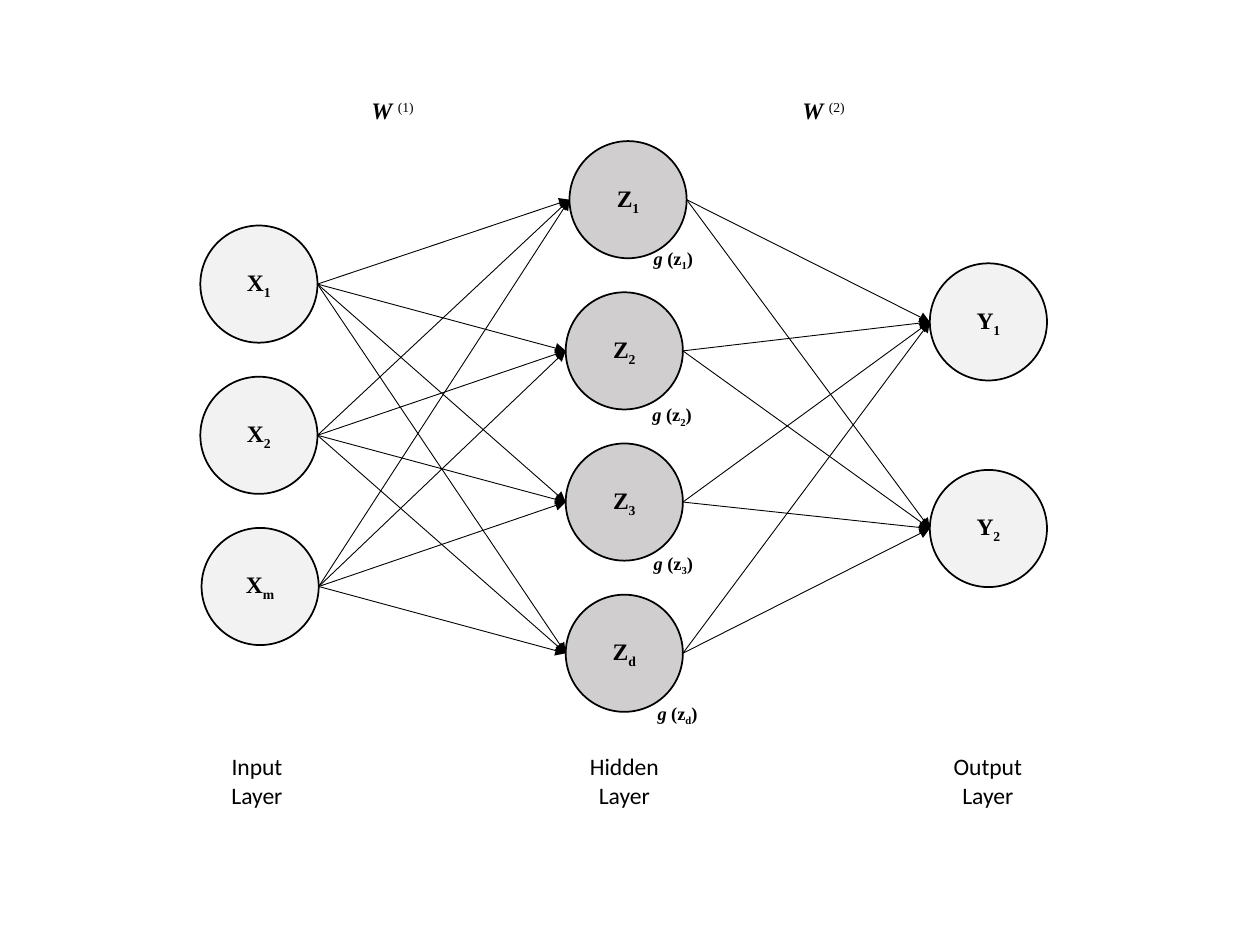
from itertools import product

from lxml.etree import SubElement
from pptx import Presentation
from pptx.dml.color import RGBColor
from pptx.enum.shapes import MSO_CONNECTOR as Connector, MSO_SHAPE as Shape
from pptx.enum.text import MSO_ANCHOR as Anchor, PP_ALIGN as Align
from pptx.oxml.ns import qn
from pptx.util import Inches, Pt

BLACK = RGBColor(0x00, 0x00, 0x00)
LIGHT_GREY = RGBColor(0xF2, 0xF2, 0xF2)
MID_GREY = RGBColor(0xD0, 0xCE, 0xCE)
SERIF = "Times New Roman"
SANS = "Calibri"
DIAMETER = 0.93
SUBSCRIPT, SUPERSCRIPT = -25000, 30000

# name, subscripts, left edges, first top, vertical pitch, fill
LAYERS = [
    ("X", "12m", [1.59, 1.59, 1.6], 1.79, 1.2, LIGHT_GREY),
    ("Z", "123d", [4.52, 4.49, 4.49, 4.49], 1.12, 1.2, MID_GREY),
    ("Y", "12", [7.38, 7.38], 2.09, 1.64, LIGHT_GREY),
]
CAPTIONS = [("Input", 1.56, 0.96), ("Hidden", 4.36, 1.19), ("Output", 7.25, 1.18)]
WEIGHTS = [("(1)", 2.85), ("(2)", 6.27)]
ACTIVATIONS = [
    ("1", (5.09, 1.91, 0.87, 0.44)),
    ("2", (5.08, 3.15, 0.87, 0.44)),
    ("3", (5.09, 4.33, 0.87, 0.44)),
    ("d", (5.12, 5.52, 0.55, 0.28)),
]


def add_run(paragraph, text, size=13.5, font=SERIF, bold=False, italic=False, baseline=0):
    """Append one formatted run to a paragraph."""
    run = paragraph.add_run()
    run.text = text
    run.font.size = Pt(size)
    run.font.name = font
    run.font.bold = bold
    run.font.italic = italic
    run.font.color.rgb = BLACK
    if baseline:
        run.font._element.set("baseline", str(baseline))


def add_text_box(slide, box):
    """Add a wrapping text box and return its text frame."""
    frame = slide.shapes.add_textbox(*map(Inches, box)).text_frame
    frame.word_wrap = True
    return frame


def add_node(slide, left, top, fill, name, subscript):
    """Draw a labelled neuron and return its (left, right, middle) in inches."""
    shape = slide.shapes.add_shape(
        Shape.OVAL, Inches(left), Inches(top), Inches(DIAMETER), Inches(DIAMETER))
    shape.shadow.inherit = False
    shape.fill.solid()
    shape.fill.fore_color.rgb = fill
    shape.line.color.rgb = BLACK
    shape.line.width = Pt(1)
    frame = shape.text_frame
    frame.vertical_anchor = Anchor.MIDDLE
    frame.margin_left = frame.margin_right = Inches(0.07)
    frame.margin_top = frame.margin_bottom = Inches(0.04)
    paragraph = frame.paragraphs[0]
    paragraph.alignment = Align.CENTER
    add_run(paragraph, name, bold=True)
    add_run(paragraph, subscript, bold=True, baseline=SUBSCRIPT)
    return left, left + DIAMETER, top + DIAMETER / 2


def add_layer(slide, name, subscripts, lefts, first_top, pitch, fill):
    """Draw one column of neurons and return their edges."""
    return [add_node(slide, left, first_top + row * pitch, fill, name, subscript)
            for row, (subscript, left) in enumerate(zip(subscripts, lefts))]


def add_arrow(slide, source, target):
    """Draw an arrow from the right of one neuron to the left of another."""
    points = source[1], source[2], target[0], target[2]
    connector = slide.shapes.add_connector(Connector.STRAIGHT, *map(Inches, points))
    connector.line.color.rgb = BLACK
    connector.line.width = Pt(0.5)
    SubElement(connector.line._get_or_add_ln(), qn("a:tailEnd"), type="triangle")
    SubElement(connector._element.spPr, qn("a:effectLst"))


def add_caption(slide, name, left, width):
    """Write the two-line name of a layer."""
    frame = add_text_box(slide, (left, 5.92, width, 0.87))
    for paragraph, text in ((frame.paragraphs[0], name), (frame.add_paragraph(), "Layer")):
        paragraph.alignment = Align.CENTER
        add_run(paragraph, text, font=SANS)


def add_weight(slide, index, left):
    """Write a weight matrix symbol with its superscript."""
    paragraph = add_text_box(slide, (left, 0.71, 0.93, 0.51)).paragraphs[0]
    add_run(paragraph, "W ", bold=True, italic=True)
    add_run(paragraph, index, baseline=SUPERSCRIPT)


def add_activation(slide, subscript, box):
    """Write the activation function beside a hidden neuron."""
    paragraph = add_text_box(slide, box).paragraphs[0]
    add_run(paragraph, "g ", 10.5, bold=True, italic=True)
    for text, baseline in (("(z", 0), (subscript, SUBSCRIPT), (")", 0)):
        add_run(paragraph, text, 10.5, bold=True, baseline=baseline)


def main():
    """Build the neural network slide."""
    presentation = Presentation()
    presentation.slide_width = Inches(10)
    presentation.slide_height = Inches(7.5)
    slide = presentation.slides.add_slide(presentation.slide_layouts[6])

    layers = [add_layer(slide, *layer) for layer in LAYERS]
    for sources, targets in zip(layers, layers[1:]):
        for source, target in product(sources, targets):
            add_arrow(slide, source, target)
    for caption in CAPTIONS:
        add_caption(slide, *caption)
    for weight in WEIGHTS:
        add_weight(slide, *weight)
    for activation in ACTIVATIONS:
        add_activation(slide, *activation)

    presentation.save("out.pptx")


main()
